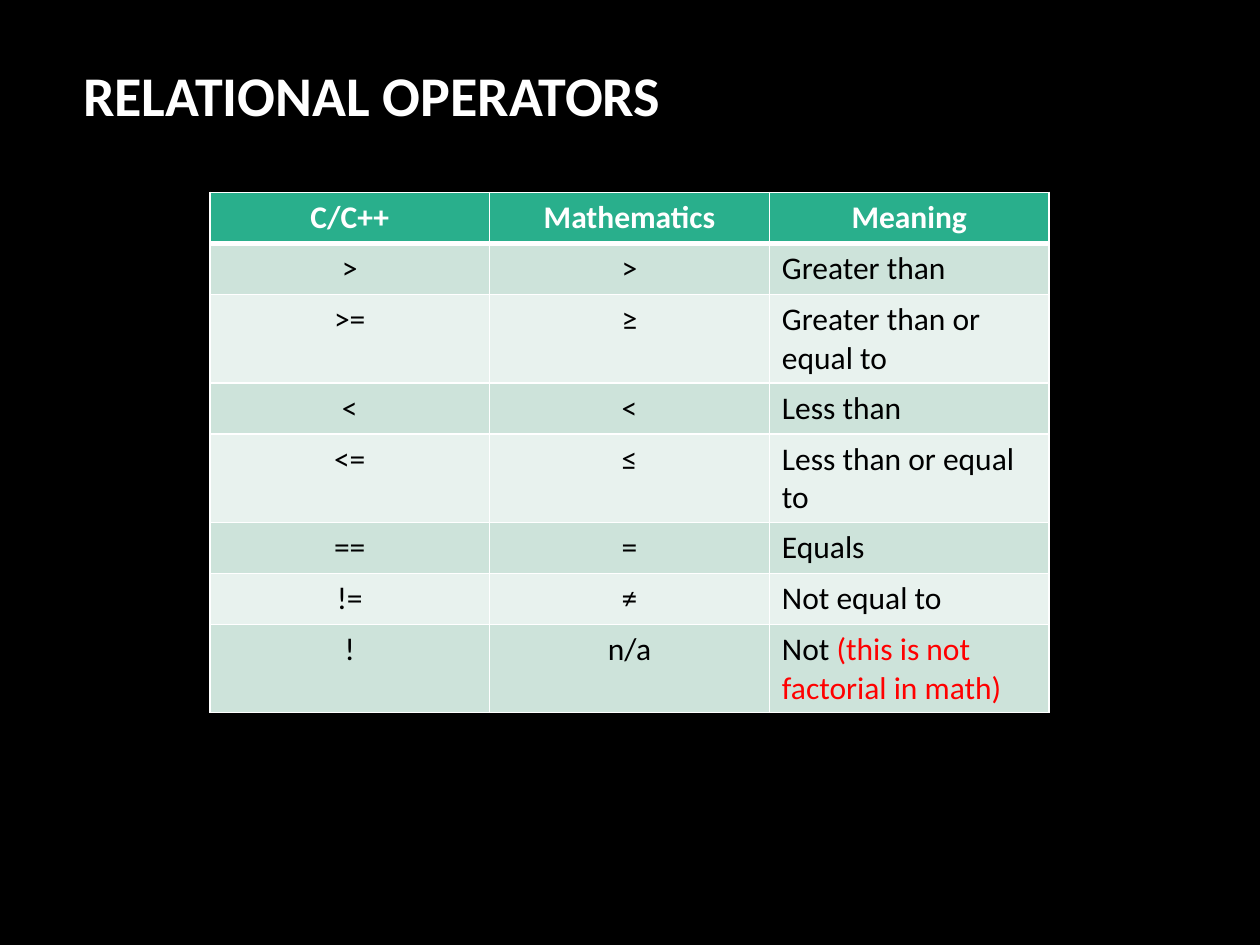
from dataclasses import dataclass

from lxml import etree
from pptx import Presentation
from pptx.dml.color import RGBColor
from pptx.enum.text import MSO_ANCHOR, MSO_AUTO_SIZE, PP_ALIGN
from pptx.oxml.ns import qn
from pptx.util import Cm, Pt

LEFT, CENTER = PP_ALIGN.LEFT, PP_ALIGN.CENTER
TOP = MSO_ANCHOR.TOP
GROW = MSO_AUTO_SIZE.SHAPE_TO_FIT_TEXT
FONT = "Calibri"
WHITE, BLACK, RED = "FFFFFF", "000000", "FF0000"
HEAD, BANDS = "29AF8C", ("CDE3DA", "E8F2EE")
ROW_H, COL_W = 1.03, 5.64


@dataclass
class Row:
    """One operator with its sign, its meaning and a remark in red."""
    code: str
    sign: str
    sense: str
    note: str = ""


ROWS = [
    Row("C/C++", "Mathematics", "Meaning"),
    Row(">", ">", "Greater than"),
    Row(">=", "≥", "Greater than or equal to"),
    Row("<", "<", "Less than"),
    Row("<=", "≤", "Less than or equal to"),
    Row("==", "=", "Equals"),
    Row("!=", "≠", "Not equal to"),
    Row("!", "n/a", "Not ", "(this is not factorial in math)"),
]


def paint(target, color: str) -> None:
    """Give a fill a solid colour."""
    target.solid()
    target.fore_color.rgb = RGBColor.from_string(color)


def style(run, size: float, color: str, bold: bool) -> None:
    """Set the font of a run."""
    font = run.font
    font.name, font.size, font.bold = FONT, Pt(size), bold
    paint(font.fill, color)


def edge(cell, side: str, width: float) -> None:
    """Draw one white border of a cell."""
    line = etree.SubElement(cell._tc.get_or_add_tcPr(), qn(f"a:ln{side}"),
                            w=str(Pt(width)))
    fill = etree.SubElement(line, qn("a:solidFill"))
    etree.SubElement(fill, qn("a:srgbClr"), val=WHITE)


def add_title(slide, text: str) -> None:
    """Place and format the slide title."""
    title = slide.shapes.title
    title.left, title.top = Cm(1.42), Cm(1.09)
    title.width, title.height = Cm(12.27), Cm(1.62)
    frame = title.text_frame
    frame.text = text
    frame.word_wrap, frame.auto_size = False, GROW
    frame.vertical_anchor = TOP
    frame.paragraphs[0].alignment = LEFT
    style(frame.paragraphs[0].runs[0], 32, WHITE, True)


def fill_row(table, index: int, row: Row) -> None:
    """Write and format one table row."""
    head = index == 0
    table.rows[index].height = Cm(ROW_H)
    for col, text in enumerate((row.code, row.sign, row.sense)):
        cell = table.cell(index, col)
        for side in "LRTB":
            thick = (index, side) in ((0, "B"), (1, "T"))
            edge(cell, side, 3 if thick else 1)
        paint(cell.fill, HEAD if head else BANDS[(index - 1) % 2])
        cell.text_frame.text = text
        para = cell.text_frame.paragraphs[0]
        para.alignment = CENTER if head or col < 2 else LEFT
        style(para.runs[0], 18, WHITE if head else BLACK, head)
        if row.note and col == 2:
            run = para.add_run()
            run.text = row.note
            style(run, 18, RED, False)


def add_grid(slide, rows: list[Row]) -> None:
    """Add the table of operators."""
    table = slide.shapes.add_table(
        len(rows), 3, Cm(4.23), Cm(3.88),
        Cm(3 * COL_W), Cm(len(rows) * ROW_H)).table
    for column in table.columns:
        column.width = Cm(COL_W)
    for index, row in enumerate(rows):
        fill_row(table, index, row)


def main() -> None:
    """Build and save the slide."""
    deck = Presentation()
    deck.slide_width, deck.slide_height = Cm(25.4), Cm(19.05)
    slide = deck.slides.add_slide(deck.slide_layouts[5])
    paint(slide.background.fill, BLACK)
    add_title(slide, "RELATIONAL OPERATORS")
    add_grid(slide, ROWS)
    deck.save("out.pptx")


main()
